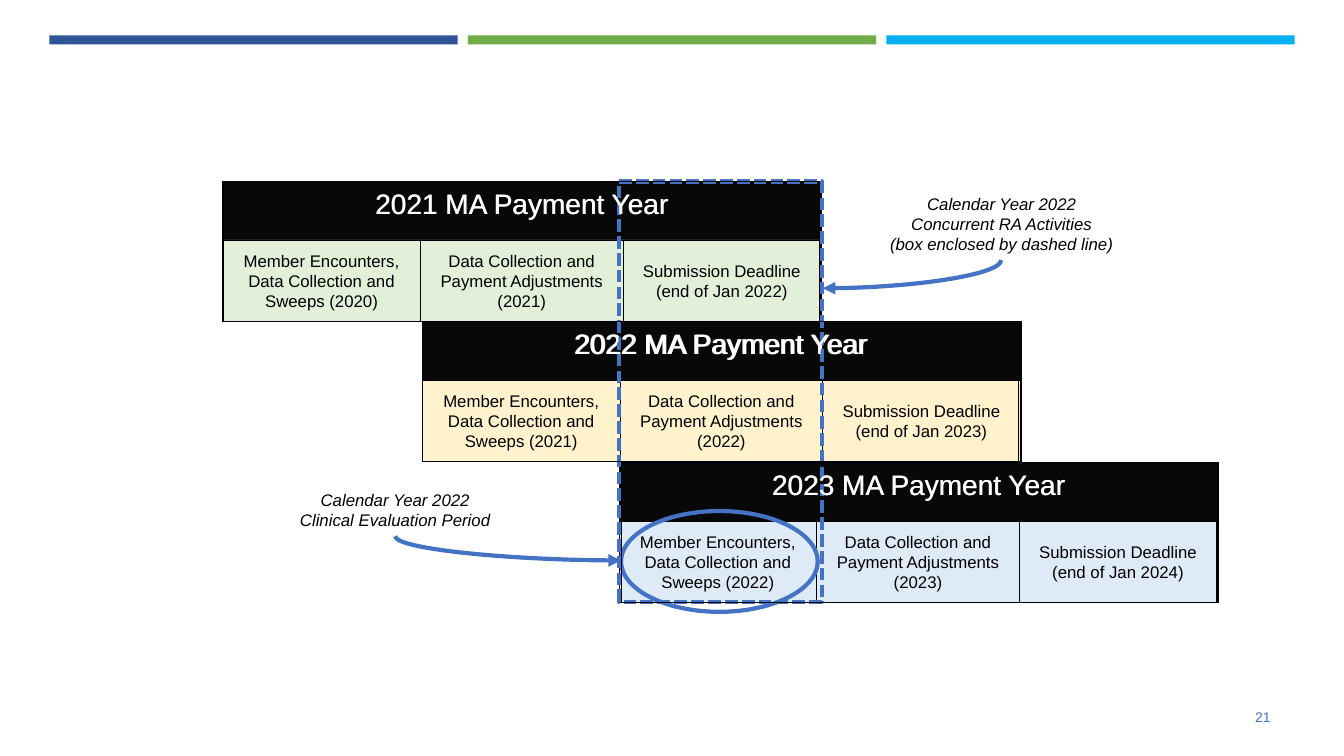
"""Build the slide of overlapping payment year timelines."""
from itertools import accumulate

from lxml import etree
from pptx import Presentation
from pptx import util as u
from pptx.dml.color import RGBColor
from pptx.enum import dml, shapes, text
from pptx.oxml.ns import qn

BLACK = RGBColor(0x00, 0x00, 0x00)
NEAR_BLACK = RGBColor(0x08, 0x08, 0x08)
WHITE = RGBColor(0xFF, 0xFF, 0xFF)
BLUE = RGBColor(0x44, 0x72, 0xC4)
NAVY = RGBColor(0x2F, 0x55, 0x97)
GREEN = RGBColor(0x70, 0xAD, 0x47)
SKY = RGBColor(0x00, 0xB0, 0xF0)
PALE_GREEN = RGBColor(0xE2, 0xF0, 0xD9)
PALE_YELLOW = RGBColor(0xFF, 0xF2, 0xCC)
PALE_BLUE = RGBColor(0xDE, 0xEB, 0xF7)

WIDTH, HEIGHT = u.Inches(13.33), u.Inches(7.5)
COLUMN, ROW = WIDTH / 1333, HEIGHT / 750

TITLE = {"size": u.Pt(20), "name": "Arial", "color": WHITE}
BODY = {"size": u.Pt(12), "name": "Arial", "color": BLACK}
NOTE = {**BODY, "italic": True}
NUMBER = {"size": u.Pt(10), "name": "Arial", "color": BLUE}
THIN = {"color": BLACK, "width": u.Pt(0.5)}
THICK = {"color": BLUE, "width": u.Pt(3)}
DASHED = {**THICK, "dash_style": dml.MSO_LINE.SQUARE_DOT}

CELL_WIDTHS = (196, 201, 196)
BLOCK_WIDTH, BLOCK_HEIGHT, TITLE_HEIGHT = 594, 139, 58
BLOCKS = {
    2021: (221, 180, PALE_GREEN),
    2023: (614, 459, PALE_BLUE),
    2022: (419, 319, PALE_YELLOW),
}
FRAMES = {2023: (616, 459), 2022: (419, 319), 2021: (222, 180)}


def on_grid(box):
    """Turn grid columns and rows into slide lengths."""
    left, top, width, height = box
    return [round(n) for n in (left * COLUMN, top * ROW, width * COLUMN, height * ROW)]


def apply_format(target, values):
    """Set attributes from a dict, sending a colour to the colour object."""
    for name, value in values.items():
        if name == "color":
            target.color.rgb = value
        else:
            setattr(target, name, value)


def write(holder, lines, style, align=text.PP_ALIGN.CENTER,
          anchor=text.MSO_ANCHOR.TOP, wrap=True):
    """Write one paragraph per line into a shape."""
    frame = holder.text_frame
    apply_format(frame, {"word_wrap": wrap, "vertical_anchor": anchor})
    for index, line in enumerate(lines):
        para = frame.paragraphs[0] if index == 0 else frame.add_paragraph()
        para.alignment = align
        span = para.add_run()
        span.text = line
        apply_format(span.font, style)


def add_block(page, box, fill=None, line=None, kind=shapes.MSO_SHAPE.RECTANGLE):
    """Add a preset shape with the given fill and line."""
    block = page.shapes.add_shape(kind, *on_grid(box))
    block.shadow.inherit = False
    if fill is None:
        block.fill.background()
    else:
        block.fill.solid()
        block.fill.fore_color.rgb = fill
    if line is None:
        block.line.fill.background()
    else:
        apply_format(block.line, line)
    return block


def add_header(page, box):
    """Place three equally spaced colour bars across the box."""
    left, top, width, height = box
    gap = 10
    bar = (width - 2 * gap) / 3
    for index, color in enumerate((NAVY, GREEN, SKY)):
        add_block(page, (left + index * (bar + gap), top, bar, height), color)


def add_payment_year(page, box, year, fill):
    """Place a titled block with its three phase cells."""
    left, top, width, height = box
    title = add_block(page, box, NEAR_BLACK, THIN)
    write(title, [f"{year} MA Payment Year"], TITLE)
    phases = (
        ("Member Encounters,", "Data Collection and", f"Sweeps ({year - 1})"),
        ("Data Collection and", "Payment Adjustments", f"({year})"),
        ("Submission Deadline", f"(end of Jan {year + 1})"),
    )
    offsets = accumulate(CELL_WIDTHS, initial=0)
    for offset, cell_width, lines in zip(offsets, CELL_WIDTHS, phases):
        cell = add_block(page, (left + offset, top + TITLE_HEIGHT, cell_width,
                                height - TITLE_HEIGHT), fill, THIN)
        write(cell, lines, BODY, anchor=text.MSO_ANCHOR.MIDDLE)


def add_frame(page, box, year):
    """Place the titled outline over a payment year."""
    write(add_block(page, box, line=THIN), [f"{year} MA Payment Year"], TITLE)


def add_note(page, box, lines):
    """Place an italic note that keeps its line breaks."""
    write(page.shapes.add_textbox(*on_grid(box)), lines, NOTE, wrap=False)


def add_curved_arrow(page, start, end):
    """Add a quarter curve that leaves downwards and arrives sideways."""
    (x1, y1), (x2, y2) = start, end
    run, drop = abs(x2 - x1), y2 - y1
    left, top, width, height = on_grid(
        ((x1 + x2 - drop) / 2, (y1 + y2 - run) / 2, drop, run))
    arrow = page.shapes.add_connector(
        shapes.MSO_CONNECTOR.CURVE, left, top, left + width, top + height)
    apply_format(arrow.line, THICK)
    properties = arrow._element.spPr
    transform = properties.find(qn("a:xfrm"))
    transform.set("rot", str((270 if x2 > x1 else 90) * 60000))
    if x2 > x1:
        transform.set("flipH", "1")
    properties.find(qn("a:prstGeom")).set("prst", "curvedConnector2")
    etree.SubElement(properties.find(qn("a:ln")), qn("a:tailEnd"), type="triangle")
    etree.SubElement(properties, qn("a:effectLst"))


def add_page_number(page, box):
    """Place the page number at the right of the box."""
    write(page.shapes.add_textbox(*on_grid(box)), ["21"], NUMBER,
          text.PP_ALIGN.RIGHT, text.MSO_ANCHOR.MIDDLE)


def add_timeline_page(deck):
    """Compose the timeline page from back to front."""
    page = deck.slides.add_slide(deck.slide_layouts[6])
    add_header(page, (49, 35, 1235, 9))
    for year, (left, top, fill) in BLOCKS.items():
        add_payment_year(page, (left, top, BLOCK_WIDTH, BLOCK_HEIGHT), year, fill)
    add_page_number(page, (1225, 691, 45, 40))
    add_note(page, (287, 481, 210, 50),
             ("Calendar Year 2022", "Clinical Evaluation Period"))
    add_block(page, (616, 507, 195, 100), line=THICK, kind=shapes.MSO_SHAPE.OVAL)
    add_curved_arrow(page, (392, 532), (616, 556))
    add_block(page, (614, 180, 201, 417), line=DASHED)
    for year, (left, top) in FRAMES.items():
        add_frame(page, (left, top, BLOCK_WIDTH - 3, BLOCK_HEIGHT), year)
    add_note(page, (872, 187, 243, 71),
             ("Calendar Year 2022", "Concurrent RA Activities",
              "(box enclosed by dashed line)"))
    add_curved_arrow(page, (993, 258), (816, 286))


def main():
    """Build and save the deck."""
    deck = Presentation()
    apply_format(deck, {"slide_width": WIDTH, "slide_height": HEIGHT})
    add_timeline_page(deck)
    deck.save("out.pptx")


if __name__ == "__main__":
    main()
